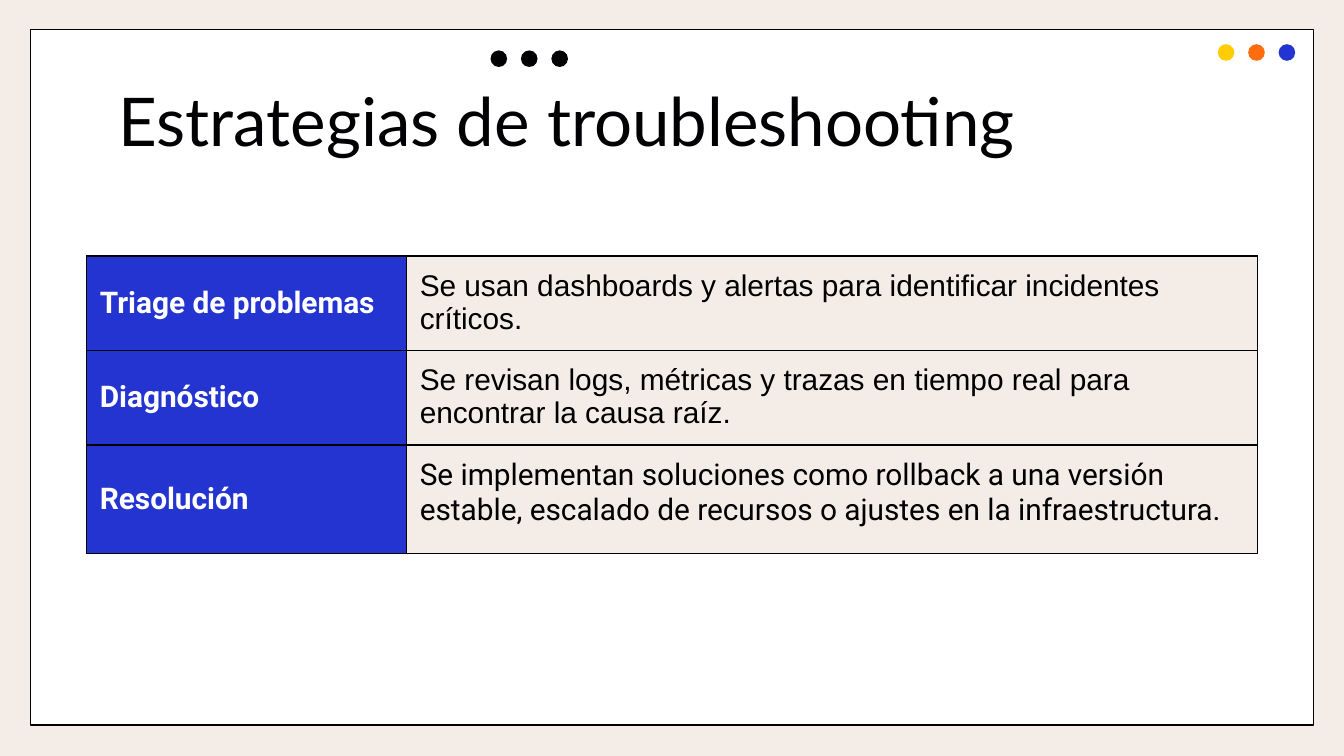
import pptx
import pptx.dml.color
import pptx.enum.shapes
import pptx.enum.text
import pptx.oxml
import pptx.oxml.ns
import pptx.util

Pt = pptx.util.Pt
Anchor = pptx.enum.text.MSO_ANCHOR
Shape = pptx.enum.shapes.MSO_SHAPE

# Content
TITLE = "Estrategias de troubleshooting"
STRATEGIES = [  # step, description, description font and colour
    ("Triage de problemas",
     "Se usan dashboards y alertas para identificar incidentes críticos.",
     "Arial", "black"),
    ("Diagnóstico",
     "Se revisan logs, métricas y trazas en tiempo real para encontrar la causa raíz.",
     "Arial", "black"),
    ("Resolución",
     "Se implementan soluciones como rollback a una versión estable, "
     "escalado de recursos o ajustes en la infraestructura.",
     "Roboto", "ink"),
]
DOT_ROWS = [  # left, top, colours
    (652.4, 23.7, ("yellow", "orange", "blue")),
    (262.8, 27, ("ink", "ink", "ink")),
]

# Theme and measures, in points
THEME = {
    "colours": {"paper": "F4ECE6", "white": "FFFFFF", "ink": "010103",
                "black": "000000", "blue": "2434D0", "orange": "FF6D0F",
                "yellow": "FFCD01"},
    "title": {"name": "Lato", "size": Pt(36), "bold": False},
    "step": {"name": "Roboto", "size": Pt(16), "bold": True},
    "description": {"size": Pt(16), "bold": False},
    "line": 0.75,
}
PAGE_SIZE = (720, 405)
FRAME = (16.4, 15.8, 687.3, 372.6)
TITLE_BOX = (56.2, 35.3, 607.6, 58.3)
TABLE_PLACE = (46.3, 137.2)
COLUMNS = (171.4, 456)
ROWS = (50.4, 50.8, 58)
DOT, DOT_STEP = 8.9, 16.3
INSET = 7.2


def colour(name):
    return pptx.dml.color.RGBColor.from_string(THEME["colours"][name])


def set_all(target, values):
    for name, value in values.items():
        setattr(target, name, value)


def fill_with(target, name):
    target.fill.solid()
    target.fill.fore_color.rgb = colour(name)


def add_plain(kind, place, fill, line=None):
    shape = page.shapes.add_shape(kind, *map(Pt, place))
    shape.shadow.inherit = False
    fill_with(shape, fill)
    if line:
        shape.line.color.rgb = colour(line)
        shape.line.width = Pt(THEME["line"])
    else:
        shape.line.fill.background()


def write(para, text, style, ink):
    span = para.add_run()
    span.text = text
    set_all(span.font, style)
    span.font.color.rgb = colour(ink)


def add_borders(cell):
    properties = cell._tc.get_or_add_tcPr()
    for side in ("lnL", "lnR", "lnT", "lnB"):
        properties.append(pptx.oxml.parse_xml(
            f'<a:{side} {pptx.oxml.ns.nsdecls("a")} w="{Pt(THEME["line"])}">'
            f'<a:solidFill><a:srgbClr val="{THEME["colours"]["ink"]}"/></a:solidFill>'
            f'</a:{side}>'))


deck = pptx.Presentation()
deck.slide_width, deck.slide_height = map(Pt, PAGE_SIZE)
page = deck.slides.add_slide(deck.slide_layouts[5])
fill_with(page.background, "paper")

# Frame, placed behind the title
add_plain(Shape.RECTANGLE, FRAME, "white", "ink")
title = page.shapes.title
page.shapes._spTree.append(title._element)

# Title
set_all(title, dict(zip(("left", "top", "width", "height"), map(Pt, TITLE_BOX))))
margins = {f"margin_{side}": Pt(INSET) for side in ("left", "right", "top", "bottom")}
set_all(title.text_frame, {**margins, "word_wrap": True, "vertical_anchor": Anchor.TOP,
                           "auto_size": pptx.enum.text.MSO_AUTO_SIZE.NONE})
heading = title.text_frame.paragraphs[0]
heading.alignment = pptx.enum.text.PP_ALIGN.LEFT
write(heading, TITLE, THEME["title"], "ink")

# Strategy table
size = (sum(COLUMNS), sum(ROWS))
table = page.shapes.add_table(len(ROWS), len(COLUMNS),
                              *map(Pt, TABLE_PLACE + size)).table
set_all(table, {"first_row": False, "horz_banding": False})
for column, width in zip(table.columns, COLUMNS):
    column.width = Pt(width)
for row, height, (step, description, font, ink) in zip(table.rows, ROWS, STRATEGIES):
    row.height = Pt(height)
    looks = (
        (step, THEME["step"], "white", "blue", Anchor.MIDDLE),
        (description, {**THEME["description"], "name": font}, ink, "paper", Anchor.TOP),
    )
    for cell, (text, style, text_ink, fill, anchor) in zip(row.cells, looks):
        set_all(cell, {**margins, "vertical_anchor": anchor})
        add_borders(cell)
        fill_with(cell, fill)
        write(cell.text_frame.paragraphs[0], text, style, text_ink)

# Dots
for left, top, names in DOT_ROWS:
    for index, name in enumerate(names):
        add_plain(Shape.OVAL, (left + index * DOT_STEP, top, DOT, DOT), name)

deck.save("out.pptx")
